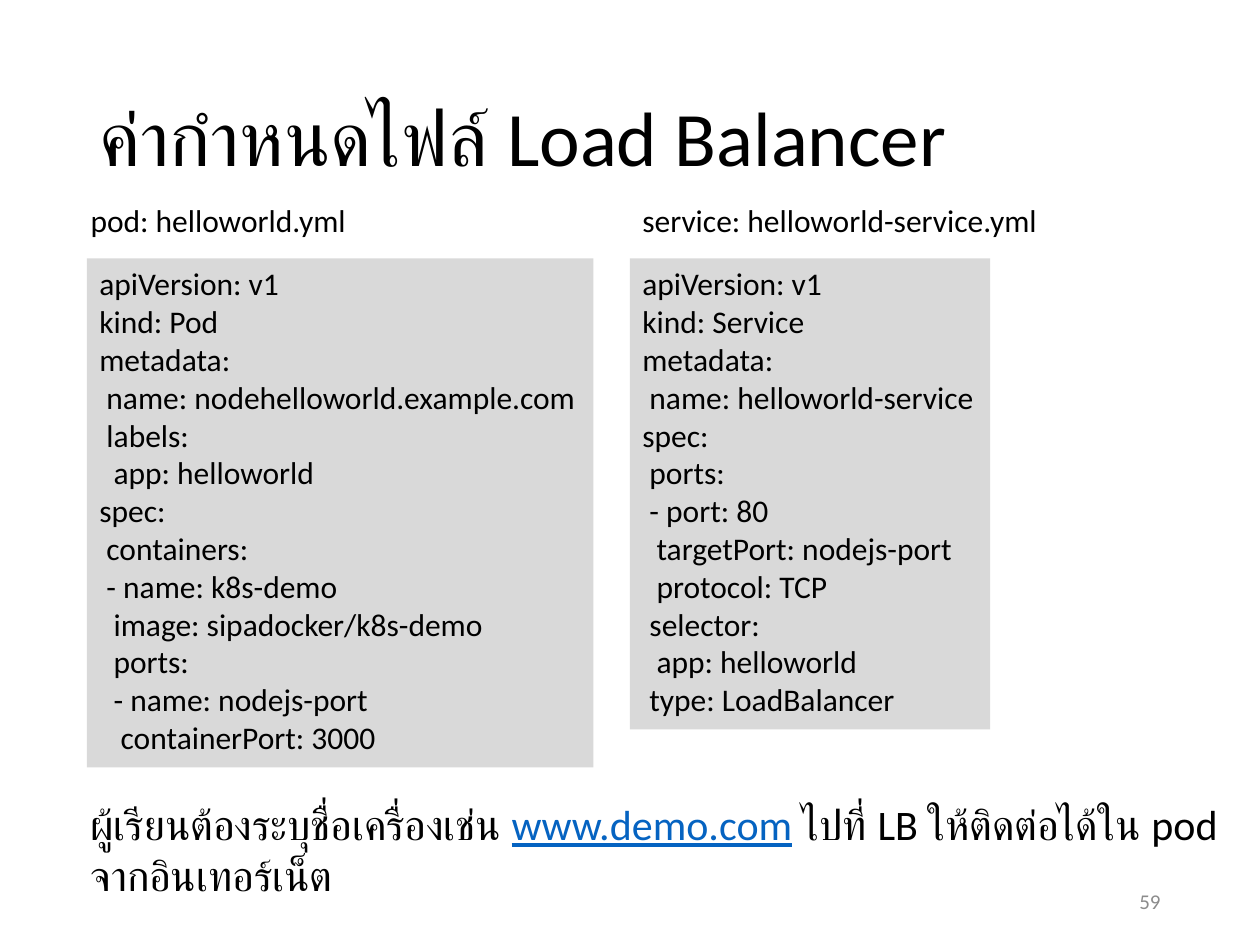
from pptx import Presentation
from pptx.dml.color import RGBColor
from pptx.enum.shapes import MSO_SHAPE as Shape
from pptx.enum.text import MSO_ANCHOR as Anchor, MSO_AUTO_SIZE as Fit, PP_ALIGN as Align
from pptx.util import Inches, Pt

WIDE, HIGH = Inches(10), Inches(7.5)
COLS, ROWS = 100, 75
LEFT, MID = 6.2, 50
EDGE = 6.9
HEAD, CODE = 15.5, 20.5

POD = """apiVersion: v1
kind: Pod
metadata:
 name: nodehelloworld.example.com
 labels:
  app: helloworld
spec:
 containers:
 - name: k8s-demo
  image: sipadocker/k8s-demo
  ports:
  - name: nodejs-port
   containerPort: 3000"""

SERVICE = """apiVersion: v1
kind: Service
metadata:
 name: helloworld-service
spec:
 ports:
 - port: 80
  targetPort: nodejs-port
  protocol: TCP
 selector:
  app: helloworld
 type: LoadBalancer"""


def paint(code):
    return RGBColor.from_string(code)


def place(col, row, cols, rows):
    return (int(WIDE * col / COLS), int(HIGH * row / ROWS),
            int(WIDE * cols / COLS), int(HIGH * rows / ROWS))


def write(box, text, size=18, color="000000", align=Align.LEFT,
          anchor=Anchor.TOP, wrap=False, space=None, link=None):
    frame = box.text_frame
    frame.word_wrap = wrap
    frame.auto_size = Fit.NONE if wrap else Fit.SHAPE_TO_FIT_TEXT
    frame.vertical_anchor = anchor
    for i, line in enumerate(text.split("\n")):
        para = frame.add_paragraph() if i else frame.paragraphs[0]
        para.alignment = align
        para.line_spacing = space
        parts = line.partition(link) if link else [line]
        for part in parts:
            run = para.add_run()
            run.text = part
            font = run.font
            font.name, font.size = "Calibri", Pt(size)
            font.color.rgb = paint("0563C1" if part == link else color)
            font.underline = part == link


def label(slide, spot, text, **style):
    write(slide.shapes.add_textbox(*place(*spot)), text, **style)


def panel(slide, spot, text):
    box = slide.shapes.add_shape(Shape.RECTANGLE, *place(*spot))
    box.shadow.inherit = False
    box.fill.solid()
    box.fill.fore_color.rgb = paint("D9D9D9")
    box.line.fill.background()
    write(box, text)


def main():
    deck = Presentation()
    deck.slide_width, deck.slide_height = WIDE, HIGH
    slide = deck.slides.add_slide(deck.slide_layouts[6])
    label(slide, (EDGE, 4, 86.2, 14.5), "ค่ากำหนดไฟล์ Load Balancer",
          size=44, anchor=Anchor.MIDDLE, wrap=True, space=0.9)
    panel(slide, (EDGE, CODE, 40.2, 40.4), POD)
    panel(slide, (MID, CODE, 28.6, 37.4), SERVICE)
    label(slide, (LEFT, HEAD, 22.5, 4), "pod: helloworld.yml")
    label(slide, (MID, HEAD, 34.3, 4), "service: helloworld-service.yml")
    label(slide, (LEFT, 62.9, 94.5, 5),
          "ผู้เรียนต้องระบุชื่อเครื่องเช่น www.demo.com ไปที่ LB ให้ติดต่อได้ใน pod จากอินเทอร์เน็ต",
          size=24, wrap=True, link="www.demo.com")
    label(slide, (70.6, 69.5, 22.5, 4), "59", size=12, color="8C8C8C",
          align=Align.RIGHT, anchor=Anchor.MIDDLE, wrap=True)
    deck.save("out.pptx")


if __name__ == "__main__":
    main()
